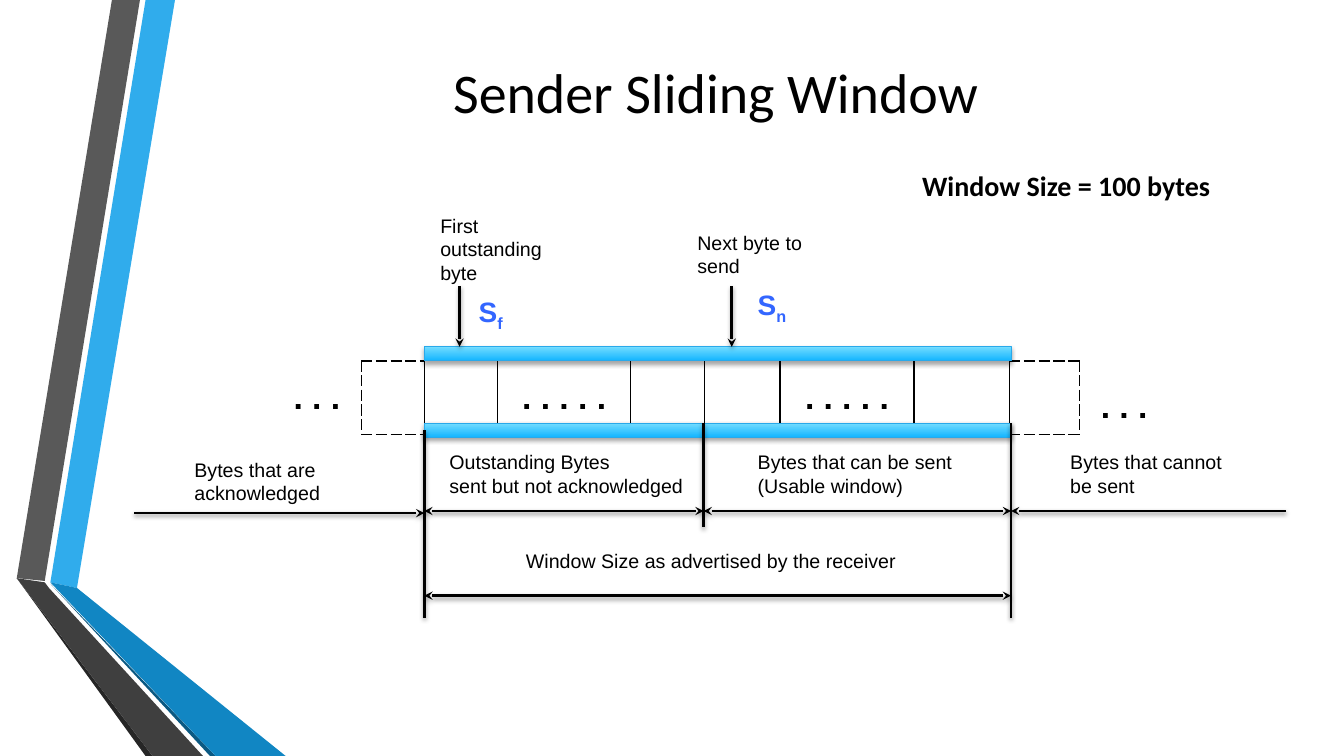
from dataclasses import dataclass
from lxml import etree
from pptx import Presentation
from pptx.dml.color import RGBColor
from pptx.enum.shapes import MSO_CONNECTOR, MSO_SHAPE
from pptx.enum.text import MSO_ANCHOR, PP_ALIGN
from pptx.oxml.ns import qn
from pptx.util import Pt

STRAIGHT = MSO_CONNECTOR.STRAIGHT
RECT = MSO_SHAPE.RECTANGLE
MIDDLE, TOP = MSO_ANCHOR.MIDDLE, MSO_ANCHOR.TOP
CENTER, LEFT = PP_ALIGN.CENTER, PP_ALIGN.LEFT
BLACK, BLUE = "000000", "3366FF"
WIN_L, WIN_M, WIN_R = 303.1, 502.6, 722.2
BAR_TOP, BAR_BOTTOM, BAR_H = 247.7, 302.4, 10.1
ROW_TOP, ROW_H = 257.8, 52.8
COLS = (64, 44.6, 52.6, 95, 52.6, 54, 95.8, 68.4, 49.7, 64)
DOTS = {0: ". . .", 3: ". . . . .", 6: ". . . . .", 9: ". . ."}
BODY = {"size": Pt(14), "name": "Arial"}
BOLD = {"size": Pt(20), "name": "Calibri", "bold": True}
SYMBOL = {"size": Pt(20), "name": "Arial", "bold": True}
DOT = {"size": Pt(24), "name": "Arial", "bold": True}
TITLE = {"size": Pt(40), "name": "Calibri"}


@dataclass
class Band:
    color: str
    points: list


@dataclass
class Rule:
    x1: float
    y1: float
    x2: float
    y2: float
    head: bool = False
    tail: bool = False


@dataclass
class Label:
    text: str
    x: float
    y: float
    w: float
    h: float
    font: dict
    color: str = BLACK
    sub: str = ""
    align: int = LEFT
    anchor: int = TOP


BANDS = [
    Band("30ACEC", [(36, 416.2), (55.4, 419.8), (124.6, 0), (104.4, 0)]),
    Band("595959", [(100, 0), (79.9, 0), (11.5, 412.6), (31.7, 415.4)]),
    Band("262626", [(11.5, 412.6), (104.4, 540), (108.7, 540)]),
    Band("0B5982", [(36, 416.9), (149.8, 540), (154.1, 540)]),
    Band("1186C3", [(36, 416.5), (154.1, 540), (203.8, 540), (55.4, 419.8)]),
    Band("3F3F3F", [(145.4, 540), (34.6, 419.8), (31.7, 415.8), (11.5, 412.6), (108.7, 540)]),
]
RULES = [
    Rule(WIN_L, 307.4, WIN_L, 441.4),
    Rule(WIN_R, BAR_BOTTOM, WIN_R, 441.4),
    Rule(WIN_M, BAR_BOTTOM, WIN_M, 376.6),
    Rule(WIN_L, 425.5, WIN_R, 425.5, True, True),
    Rule(WIN_L, 365, WIN_M, 365, True, True),
    Rule(WIN_M, 365, WIN_R, 365, True, True),
    Rule(918.7, 365, WIN_R, 365, tail=True),
    Rule(95.8, 366.5, WIN_L, 366.5, tail=True),
    Rule(328.3, 204.5, 328.3, BAR_TOP, tail=True),
    Rule(522.7, 204.5, 522.7, BAR_TOP, tail=True),
]
LABELS = [
    Label("Bytes that are acknowledged", 131.8, 323.3, 125.3, 41, BODY),
    Label("Window Size = 100 bytes", 651.6, 116.6, 277.9, 31.7, BOLD),
    Label("Window Size as advertised by the receiver", 368.6, 388.8, 328.3, 24.5, BODY),
    Label("Outstanding Bytes\nsent but not acknowledged", 313.9, 318.2, 207.4, 41, BODY),
    Label("First outstanding byte", 307.4, 149, 95, 58.3, BODY),
    Label("Next byte to send", 491, 161.3, 95, 41, BODY),
    Label("S", 334.8, 206.6, 34.6, 31.7, SYMBOL, BLUE, "f"),
    Label("S", 534.2, 201.6, 38.9, 31.7, SYMBOL, BLUE, "n"),
    Label("Bytes that cannot be sent", 757.4, 318.2, 125.3, 41, BODY),
    Label("Bytes that can be sent (Usable window)", 534.2, 318.2, 169.9, 41, BODY),
    Label("Sender Sliding Window", 116.6, 28.8, 789.1, 72, TITLE, align=CENTER, anchor=MIDDLE),
]


def rgb(color: str) -> RGBColor:
    return RGBColor.from_string(color)


def add_run(p, text: str, font: dict, color: str):
    r = p.add_run()
    r.text = text
    for name, value in font.items():
        setattr(r.font, name, value)
    r.font.color.rgb = rgb(color)
    return r


def add_shadow(sp, alpha: int, dist: float) -> None:
    spPr = sp._element.spPr
    effects = spPr.find(qn("a:effectLst"))
    if effects is None:
        effects = etree.SubElement(spPr, qn("a:effectLst"))
    shadow = etree.SubElement(effects, qn("a:outerShdw"), blurRad=str(Pt(3.1)),
                              dist=str(Pt(dist)), dir="5400000", rotWithShape="0")
    color = etree.SubElement(shadow, qn("a:srgbClr"), val=BLACK)
    etree.SubElement(color, qn("a:alpha"), val=str(alpha * 1000))


def add_band(shapes, band: Band) -> None:
    builder = shapes.build_freeform(*band.points[0], scale=Pt(1))
    builder.add_line_segments(band.points[1:], close=True)
    sp = builder.convert_to_shape()
    sp.shadow.inherit = False
    sp.fill.solid()
    sp.fill.fore_color.rgb = rgb(band.color)
    sp.line.fill.background()


def add_bar(shapes, y: float) -> None:
    sp = shapes.add_shape(RECT, Pt(WIN_L), Pt(y), Pt(WIN_R - WIN_L), Pt(BAR_H))
    sp.fill.gradient()
    sp.fill.gradient_angle = 90
    for stop, color, position in zip(sp.fill.gradient_stops, ("13B5FF", "73DCFF"), (0, 1)):
        stop.color.rgb = rgb(color)
        stop.position = position
    sp.line.color.rgb = rgb("29A9EA")
    sp.line.width = Pt(0.75)
    sp.shadow.inherit = False
    add_shadow(sp, 35, 1.8)


def add_rule(shapes, rule: Rule) -> None:
    sp = shapes.add_connector(STRAIGHT, Pt(rule.x1), Pt(rule.y1), Pt(rule.x2), Pt(rule.y2))
    sp.line.color.rgb = rgb(BLACK)
    sp.line.width = Pt(2)
    ln = sp._element.spPr.find(qn("a:ln"))
    for tag, shown in (("a:headEnd", rule.head), ("a:tailEnd", rule.tail)):
        if shown:
            etree.SubElement(ln, qn(tag), type="stealth")
    add_shadow(sp, 37, 1.6)


def add_label(shapes, label: Label) -> None:
    sp = shapes.add_textbox(Pt(label.x), Pt(label.y), Pt(label.w), Pt(label.h))
    tf = sp.text_frame
    tf.word_wrap = True
    tf.vertical_anchor = label.anchor
    for i, line in enumerate(label.text.split("\n")):
        p = tf.add_paragraph() if i else tf.paragraphs[0]
        p.alignment = label.align
        add_run(p, line, label.font, label.color)
    if label.sub:
        r = add_run(p, label.sub, label.font, label.color)
        r._r.get_or_add_rPr().set("baseline", "-25000")


def set_borders(cell, styles: dict) -> None:
    tcPr = cell._tc.get_or_add_tcPr()
    for i, side in enumerate("LRTB"):
        ln = etree.Element(qn(f"a:ln{side}"), w=str(Pt(1)))
        if side in styles:
            fill = etree.SubElement(ln, qn("a:solidFill"))
            etree.SubElement(fill, qn("a:srgbClr"), val=BLACK)
            etree.SubElement(ln, qn("a:prstDash"), val=styles[side])
        else:
            etree.SubElement(ln, qn("a:noFill"))
        tcPr.insert(i, ln)


def add_buffer(shapes) -> None:
    frame = shapes.add_table(1, len(COLS), Pt(194.4), Pt(ROW_TOP), Pt(sum(COLS)), Pt(ROW_H))
    table = frame.table
    table.first_row = table.horz_banding = False
    table.rows[0].height = Pt(ROW_H)
    edges = {0: {"R": "dash"}, 1: {"L": "dash", "T": "dash", "B": "dash", "R": "solid"},
             8: {"L": "solid", "T": "dash", "B": "dash", "R": "dash"}, 9: {"L": "dash"}}
    for i, width in enumerate(COLS):
        table.columns[i].width = Pt(width)
        cell = table.cell(0, i)
        cell.fill.background()
        cell.vertical_anchor = MIDDLE
        set_borders(cell, edges.get(i, {"L": "solid", "R": "solid"}))
        if i in DOTS:
            p = cell.text_frame.paragraphs[0]
            p.alignment = CENTER
            add_run(p, DOTS[i], DOT, BLACK)
    table.cell(0, 9).margin_top = Pt(16)


def main() -> None:
    prs = Presentation()
    prs.slide_width, prs.slide_height = Pt(960), Pt(540)
    shapes = prs.slides.add_slide(prs.slide_layouts[6]).shapes
    for band in BANDS:
        add_band(shapes, band)
    add_buffer(shapes)
    for y in (BAR_TOP, BAR_BOTTOM):
        add_bar(shapes, y)
    for rule in RULES:
        add_rule(shapes, rule)
    for label in LABELS:
        add_label(shapes, label)
    prs.save("out.pptx")


if __name__ == "__main__":
    main()
